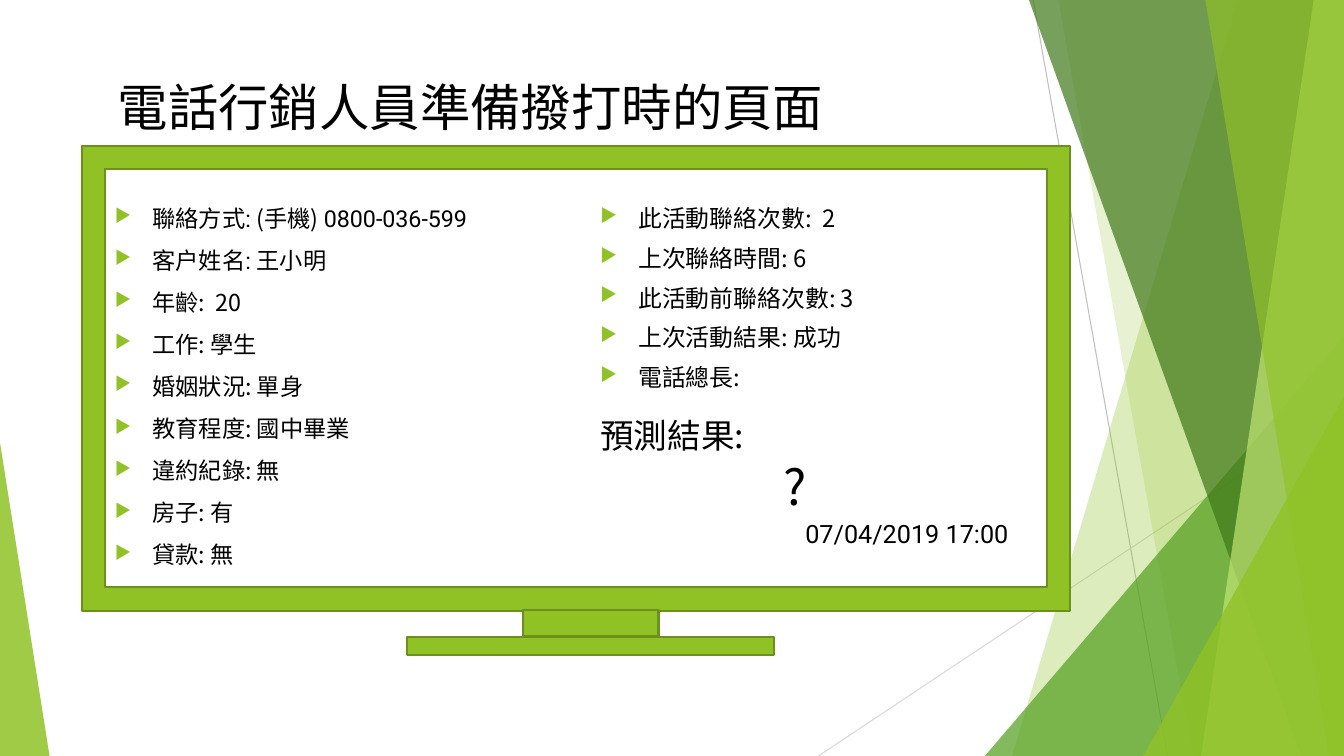
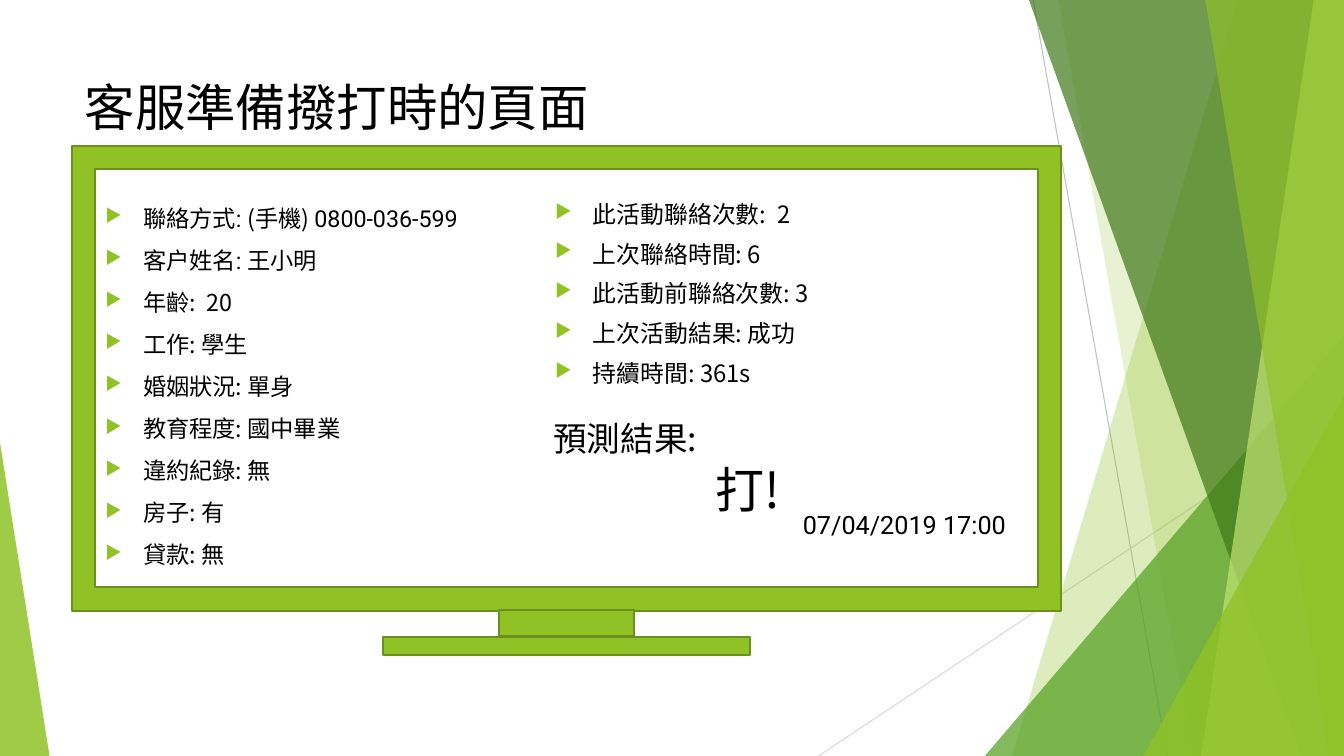
import pptx
import pptx.util
import pptx.dml.color
import pptx.enum.shapes
import pptx.enum.text
import pptx.oxml
import pptx.oxml.ns
import lxml.etree

HUES = {
    "lime": "90C226", "leaf": "54A021", "moss": "3F7819", "pale": "C0E474",
    "edge": "6B901C", "gray": "BFBFBF", "mist": "D9D9D9", "white": "FFFFFF", "ink": "000000",
}
HAN = "Noto Sans CJK TC"
SANS = "Roboto"
KIND = pptx.enum.shapes.MSO_SHAPE
Pt = pptx.util.Pt
qn = pptx.oxml.ns.qn
COLS, ROWS = 160, 90

deck = pptx.Presentation()
deck.slide_width = pptx.util.Emu(12192000)
deck.slide_height = pptx.util.Emu(6858000)
UNIT = deck.slide_width // COLS


def paint(shape, hue, alpha=100, edge=None):
    shape.shadow.inherit = False
    shape.fill.solid()
    shape.fill.fore_color.rgb = pptx.dml.color.RGBColor.from_string(HUES[hue])
    if alpha < 100:
        tint = shape.fill._xPr.find(".//" + qn("a:srgbClr"))
        lxml.etree.SubElement(tint, qn("a:alpha")).set("val", str(alpha * 1000))
    if edge:
        shape.line.color.rgb = pptx.dml.color.RGBColor.from_string(HUES[edge])
        shape.line.width = Pt(1.5)
    else:
        shape.line.fill.background()


def write(frame, rows, size, lead, face=HAN, list_gap=None):
    frame.word_wrap = True
    for i, row in enumerate(rows):
        para = frame.paragraphs[0] if i == 0 else frame.add_paragraph()
        para.alignment = pptx.enum.text.PP_ALIGN.LEFT
        if list_gap is not None:
            props = para._p.get_or_add_pPr()
            props.set("marL", "342900")
            props.set("indent", "-342900")
            tint = lxml.etree.SubElement(props, qn("a:buClr"))
            lxml.etree.SubElement(tint, qn("a:srgbClr")).set("val", HUES["lime"])
            lxml.etree.SubElement(props, qn("a:buSzPct")).set("val", "80000")
            lxml.etree.SubElement(props, qn("a:buChar")).set("char", "▶")
            para.space_before = Pt(list_gap if i else 0)
        para.line_spacing = Pt(lead)
        para.font.size = Pt(size)
        para.font.name = SANS if "|" in row else face
        para.font.color.rgb = pptx.dml.color.RGBColor.from_string(HUES["ink"])
        base = para._p.pPr.find(qn("a:defRPr"))
        lxml.etree.SubElement(base, qn("a:ea")).set("typeface", HAN)
        for j, part in enumerate(row.split("|")):
            run = para.add_run()
            run.text = part
            if j % 2:
                run.font.name = HAN
    return para


RAYS = [(123, 0, 139, 90, "gray"), (160, 48.36, 97.44, 90, "mist")]
PANES = [
    ((147.36, 120.48), "lime", 30),
    ((126, 142), "lime", 20),
    ((117.24, 40, 42.76, 50, 1), "leaf", 72),
    ((122.5, 154.9), "moss", 70),
    ((156.4, 143), "pale", 70),
    ((143.5, 158.2), "lime", 65),
    ((136.1, 47.2, 23.9, 42.8, 1), "lime", 80),
    ((0, 52.7, 5.9, 37.3, 0), "lime", 85),
]
FACTS = [
    "聯絡方式: |(手機) |0800-036-599", "客戶姓名: |王小明", "年齡:  20", "工作: 學生",
    "婚姻狀況: 單身", "教育程度: 國中畢業", "違約紀錄: 無", "房子: 有", "貸款: 無",
]
CALLS = ["此活動聯絡次數:  2", "上次聯絡時間: 6", "此活動前聯絡次數: 3", "上次活動結果: 成功"]
PAGES = [
    {"title": "電話行銷人員準備撥打時的頁面", "left": 12.84, "screen": 9.72, "neck": 62.3,
     "calls": (70.3, 24), "date": (94.7, 61.1), "guess": (70.3, 48.8),
     "last": "電話總長:", "answer": "?"},
    {"title": "客服準備撥打時的頁面", "left": 8.9, "screen": 8.6, "neck": 59.4,
     "calls": (64.9, 23.5), "date": (94.4, 60.1), "guess": (64.7, 49.1),
     "last": "持續時間: 361s", "answer": "打!"},
]

for page in PAGES:
    slide = deck.slides.add_slide(deck.slide_layouts[6])
    shapes = slide.shapes
    slide.background.fill.solid()
    slide.background.fill.fore_color.rgb = pptx.dml.color.RGBColor.from_string(HUES["white"])

    for *ends, hue in RAYS:
        ray = shapes.add_connector(
            pptx.enum.shapes.MSO_CONNECTOR.STRAIGHT, *[int(n * UNIT) for n in ends])
        ray.line.color.rgb = pptx.dml.color.RGBColor.from_string(HUES[hue])
        ray.line.width = Pt(0.75)
        lxml.etree.SubElement(ray._element.spPr, qn("a:effectLst"))

    for spots, hue, alpha in PANES:
        if len(spots) == 2:
            top, foot = [int(n * UNIT) for n in spots]
            right, low = COLS * UNIT, ROWS * UNIT
            pen = shapes.build_freeform(top, 0)
            pen.add_line_segments([(right, 0), (right, low), (foot, low)], close=True)
            pane = pen.convert_to_shape()
        else:
            pane = shapes.add_shape(
                KIND.ISOSCELES_TRIANGLE, *[int(n * UNIT) for n in spots[:4]])
            pane.adjustments[0] = spots[4]
        paint(pane, hue, alpha)

    parts = {}
    for name, kind, spot in [
        ("screen", KIND.FRAME, (page["screen"], 17.4, 117.7, 55.3)),
        ("neck", KIND.RECTANGLE, (page["neck"], 72.6, 16.1, 3.1)),
        ("foot", KIND.RECTANGLE, (page["neck"] - 13.8, 75.8, 43.7, 2.2)),
    ]:
        parts[name] = shapes.add_shape(kind, *[int(n * UNIT) for n in spot])
        paint(parts[name], "lime", edge="edge")
    screen = parts["screen"]
    screen.adjustments[0] = 0.05
    screen.text_frame.vertical_anchor = pptx.enum.text.MSO_ANCHOR.MIDDLE
    screen.text_frame.margin_top = pptx.util.Inches(0.21)
    write(screen.text_frame, FACTS, 16.6, 20, list_gap=10)

    for spot, rows, size, lead, face, gap in [
        ((page["left"], 8, 101, 12), [page["title"]], 36, 46, SANS, None),
        ((*page["calls"], 48.7, 28.2), CALLS + [page["last"]], 17, 18.4, HAN, 10),
        ((*page["date"], 31, 4.8), ["07/04/2019 17:00"], 18, 21.6, SANS, None),
        ((*page["guess"], 48.7, 13.1), ["預測結果:", page["answer"]], 24, 29, HAN, None),
    ]:
        box = shapes.add_textbox(*[int(n * UNIT) for n in spot])
        final = write(box.text_frame, rows, size, lead, face, gap)
    final.alignment = pptx.enum.text.PP_ALIGN.CENTER
    final.line_spacing = Pt(43)
    final.font.size = Pt(35)

deck.save("out.pptx")
